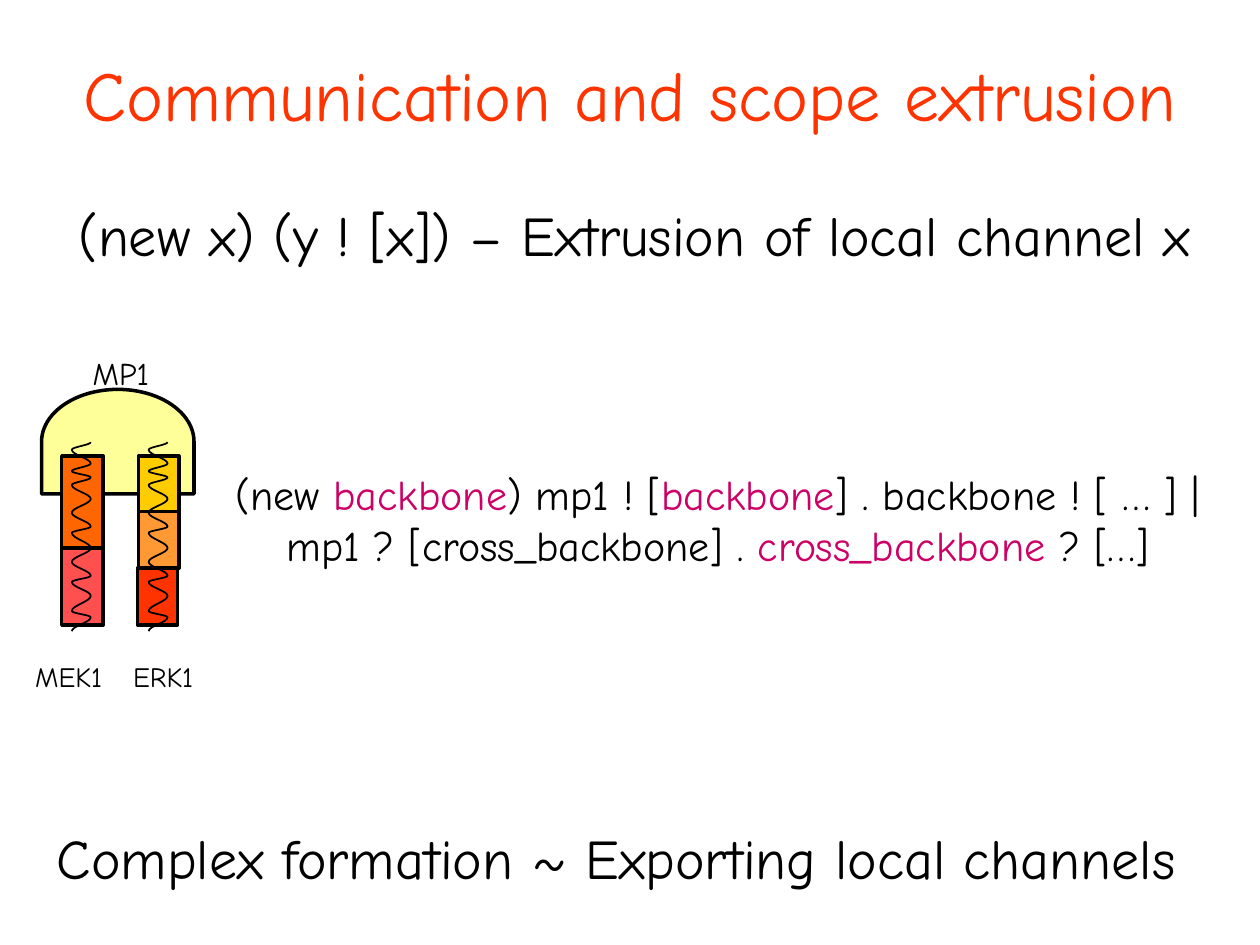
from dataclasses import dataclass
from math import cos, pi
from typing import Any, Optional

from pptx import Presentation
from pptx.dml.color import RGBColor
from pptx.enum.shapes import MSO_SHAPE as Preset
from pptx.enum.text import MSO_ANCHOR as Anchor, PP_ALIGN as Align
from pptx.util import Inches, Pt

FONT = "Comic Neue"
BLACK = RGBColor(0x00, 0x00, 0x00)
WHITE = RGBColor(0xFF, 0xFF, 0xFF)
RED = RGBColor(0xFF, 0x33, 0x00)
PINK = RGBColor(0xCC, 0x00, 0x66)
CREAM = RGBColor(0xFF, 0xFF, 0x99)
CORAL = RGBColor(0xFF, 0x50, 0x50)
ORANGE = RGBColor(0xFF, 0x66, 0x00)
AMBER = RGBColor(0xFF, 0x99, 0x33)
GOLD = RGBColor(0xFF, 0xCC, 0x00)

Span = tuple[str, RGBColor]
Line = list[Span]


@dataclass
class Block:
    left: float
    top: float
    width: float
    height: float
    fill: Optional[RGBColor] = None
    preset: Preset = Preset.RECTANGLE
    rotation: int = 0
    outlined: bool = True


@dataclass
class Caption:
    place: Block
    lines: list[Line]
    size: int
    wrap: bool = False
    anchor: Anchor = Anchor.MIDDLE
    left_inset: float = 0.1


def one_line(text: str, color: RGBColor = BLACK) -> list[Line]:
    return [[(text, color)]]


def label(left: float, top: float, width: float, height: float,
          text: str, size: int) -> Caption:
    """A protein name on a white patch."""
    return Caption(Block(left, top, width, height, WHITE, outlined=False),
                   one_line(text), size)


TITLE = Caption(Block(0, 0.08, 10, 1.33),
                one_line("Communication and scope extrusion", RED), 40, wrap=True)
RULE = Caption(Block(0.44, 1.36, 9.2, 1),
               one_line("(new x) (y ! [x]) – Extrusion of local channel x"), 32)
PROCESS = Caption(
    Block(1.08, 3.67, 8.83, 0.92),
    [[("(new ", BLACK), ("backbone", PINK), (") mp1 ! [", BLACK),
      ("backbone", PINK), ("] . backbone ! [ … ] |", BLACK)],
     [("mp1 ? [cross_backbone] . ", BLACK), ("cross_backbone", PINK),
      (" ? […]", BLACK)]],
    24, wrap=True, anchor=Anchor.TOP, left_inset=0.5)
SUMMARY = Caption(Block(0.35, 6.49, 9.09, 0.64),
                  one_line("Complex formation ~ Exporting local channels"),
                  32, anchor=Anchor.TOP)
SCAFFOLD_LABEL = label(0.67, 2.75, 0.58, 0.42, "MP1", 18)
KINASE_LABELS = [label(0.92, 5.08, 0.75, 0.58, "ERK1", 16),
                 label(0.17, 5.08, 0.75, 0.58, "MEK1", 16)]

SCAFFOLD = Block(0.52, 2.9, 0.83, 1.21, CREAM, Preset.FLOWCHART_DELAY, 270)
MEK_DOMAINS = [Block(0.49, 4.35, 0.33, 0.61, CORAL),
               Block(0.49, 3.62, 0.33, 0.73, ORANGE)]
ERK_DOMAINS = [Block(1.09, 4.51, 0.32, 0.45, RED),
               Block(1.1, 3.62, 0.32, 0.45, GOLD),
               Block(1.1, 4.06, 0.32, 0.45, AMBER)]

COIL_WIDTH = 0.15
COIL_TURNS = [3.51, 3.57, 3.68, 3.74, 3.79, 3.85, 3.96, 4.07, 4.18,
              4.23, 4.35, 4.46, 4.57, 4.62, 4.73, 4.85, 4.90, 5.01]
COIL_STEPS = 8


def set_all(target: Any, values: dict[str, Any]) -> None:
    for name, value in values.items():
        setattr(target, name, value)


def outline(shape: Any, width: float) -> None:
    shape.line.color.rgb = BLACK
    shape.line.width = Pt(width)


def draw_block(page: Any, block: Block) -> Any:
    corner_and_size = [Inches(length) for length in
                       (block.left, block.top, block.width, block.height)]
    if block.fill is None:
        return page.shapes.add_textbox(*corner_and_size)
    shape = page.shapes.add_shape(block.preset, *corner_and_size)
    shape.shadow.inherit = False
    shape.rotation = block.rotation
    shape.fill.solid()
    shape.fill.fore_color.rgb = block.fill
    if block.outlined:
        outline(shape, 2)
    else:
        shape.line.fill.background()
    return shape


def draw_caption(page: Any, caption: Caption) -> None:
    frame = draw_block(page, caption.place).text_frame
    set_all(frame, {
        "word_wrap": caption.wrap,
        "vertical_anchor": caption.anchor,
        "margin_left": Inches(caption.left_inset),
        "margin_right": Inches(0.1),
        "margin_top": Inches(0.05),
        "margin_bottom": Inches(0.05),
    })
    para = frame.paragraphs[0]
    para.alignment = Align.CENTER
    for number, line in enumerate(caption.lines):
        if number:
            para.add_line_break()
        for text, color in line:
            span = para.add_run()
            span.text = text
            set_all(span.font, {"name": FONT, "size": Pt(caption.size)})
            span.font.color.rgb = color


def draw_coil(page: Any, left: float) -> None:
    """A backbone swinging from side to side between the turning heights."""
    points = []
    for turn, (top, bottom) in enumerate(zip(COIL_TURNS, COIL_TURNS[1:])):
        side = 1 if turn % 2 == 0 else -1
        for step in range(1, COIL_STEPS + 1):
            share = step / COIL_STEPS
            swing = (1 + side * cos(pi * share)) / 2
            points.append((Inches(left + COIL_WIDTH * swing),
                           Inches(top + (bottom - top) * share)))
    builder = page.shapes.build_freeform(Inches(left + COIL_WIDTH),
                                         Inches(COIL_TURNS[0]))
    builder.add_line_segments(points, close=False)
    coil = builder.convert_to_shape()
    coil.shadow.inherit = False
    coil.fill.background()
    outline(coil, 1)


def draw_kinase(page: Any, domains: list[Block], coil_left: float) -> None:
    for domain in domains:
        draw_block(page, domain)
    draw_coil(page, coil_left)


def main() -> None:
    deck = Presentation()
    set_all(deck, {"slide_width": Inches(10), "slide_height": Inches(7.5)})
    page = deck.slides.add_slide(deck.slide_layouts[6])
    for caption in (TITLE, RULE, SCAFFOLD_LABEL, PROCESS, SUMMARY):
        draw_caption(page, caption)
    draw_block(page, SCAFFOLD)
    draw_kinase(page, MEK_DOMAINS, 0.57)
    draw_kinase(page, ERK_DOMAINS, 1.18)
    for caption in KINASE_LABELS:
        draw_caption(page, caption)
    deck.save("out.pptx")


if __name__ == "__main__":
    main()
